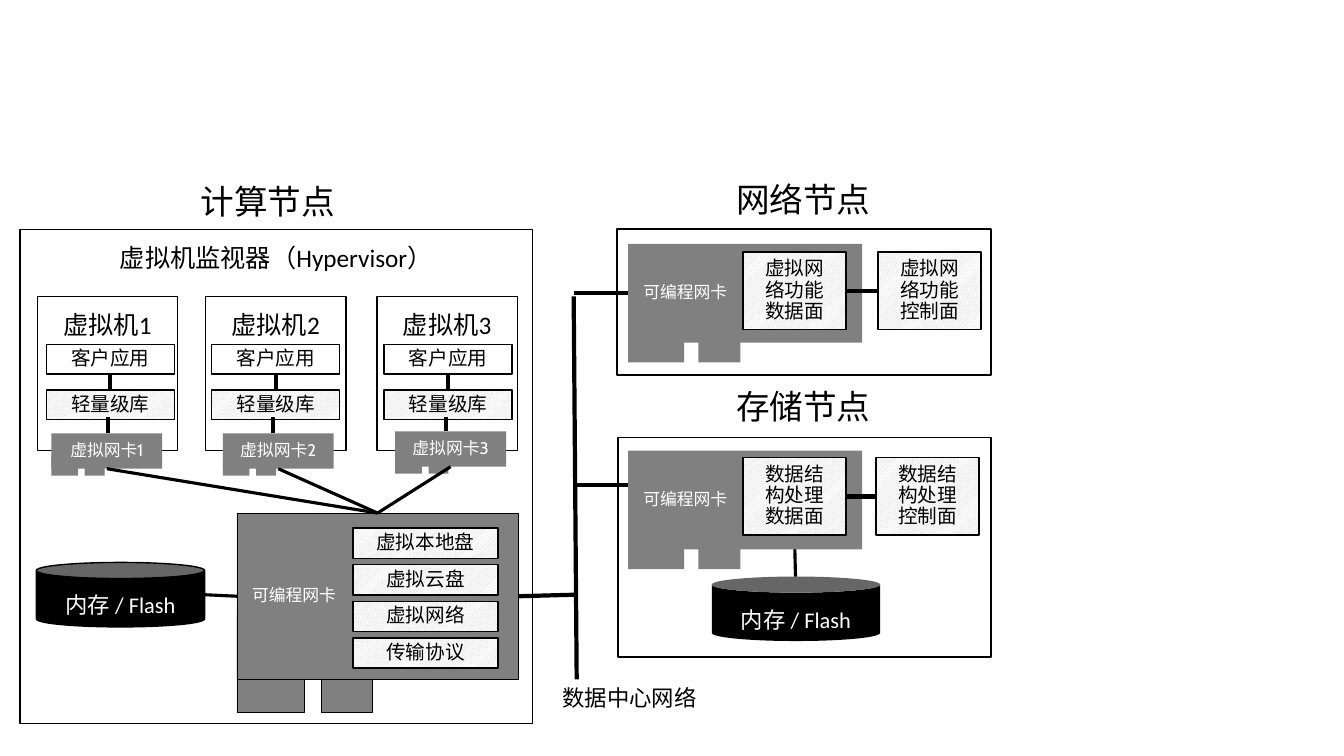
from dataclasses import dataclass
from typing import NamedTuple, Optional

from lxml.etree import SubElement
from pptx import Presentation
from pptx.dml.color import RGBColor
from pptx.enum.dml import MSO_PATTERN_TYPE
from pptx.enum.shapes import MSO_CONNECTOR, MSO_SHAPE
from pptx.enum.text import MSO_ANCHOR, MSO_AUTO_SIZE, PP_ALIGN
from pptx.oxml.ns import qn
from pptx.util import Emu, Inches, Pt

COLORS = {"ink": "000000", "paper": "FFFFFF", "card": "808080", "hatch": "D0CECE"}
CELL = Inches(0.1)  # one column or row of the layout grid
COLUMNS, ROWS = 133.3, 75
TOP, LEFT, BOTTOM, RIGHT = range(4)  # connection sites of a rectangle


class Box(NamedTuple):
    left: float
    top: float
    width: float
    height: float


class Point(NamedTuple):
    column: float
    row: float


class Joint(NamedTuple):
    shape: object
    side: int


@dataclass(frozen=True)
class Label:
    text: str
    size: float = 14
    color: str = "ink"
    font: str = "Calibri"
    align: PP_ALIGN = PP_ALIGN.CENTER
    anchor: MSO_ANCHOR = MSO_ANCHOR.MIDDLE
    inset: float = 2.0


@dataclass(frozen=True)
class VirtualMachine:
    number: int
    left: float
    app_left: float
    card_left: float
    card_top: float


@dataclass(frozen=True)
class RemoteNode:
    name: str
    frame: Box
    title: Point
    card_top: float
    plane: str
    plane_top: float
    control_left: float


def color(name: str) -> RGBColor:
    return RGBColor.from_string(COLORS[name])


def grid(cells: float) -> Emu:
    return Emu(round(cells * CELL))


def write(shape, label: Label) -> None:
    frame = shape.text_frame
    frame.word_wrap = True
    frame.vertical_anchor = label.anchor
    frame.margin_left = frame.margin_right = grid(label.inset)
    frame.margin_top = frame.margin_bottom = grid(label.inset * 0.8)
    paragraph = frame.paragraphs[0]
    paragraph.text = label.text
    paragraph.alignment = label.align
    paragraph.line_spacing = 0.9
    paragraph.font.size = Pt(label.size)
    paragraph.font.name = label.font
    paragraph.font.color.rgb = color(label.color)


def add_block(shapes, box: Box, fill: str = "paper", line: float = 1,
              label: Optional[Label] = None, kind: MSO_SHAPE = MSO_SHAPE.RECTANGLE):
    shape = shapes.add_shape(kind, *map(grid, box))
    shape.shadow.inherit = False
    if fill == "hatch":
        shape.fill.patterned()
        shape.fill.pattern = MSO_PATTERN_TYPE.LIGHT_UPWARD_DIAGONAL
        shape.fill.fore_color.rgb = color("hatch")
        shape.fill.back_color.rgb = color("paper")
    else:
        shape.fill.solid()
        shape.fill.fore_color.rgb = color(fill)
    if line:
        shape.line.color.rgb = color("ink")
        shape.line.width = Pt(line)
    else:
        shape.line.fill.background()
    if label:
        write(shape, label)
    return shape


def add_caption(shapes, box: Box, text: str, size: float) -> None:
    caption = shapes.add_textbox(*map(grid, box))
    write(caption, Label(text, size, align=PP_ALIGN.LEFT, anchor=MSO_ANCHOR.TOP))
    caption.text_frame.word_wrap = False
    caption.text_frame.auto_size = MSO_AUTO_SIZE.SHAPE_TO_FIT_TEXT
    caption.text_frame.paragraphs[0].space_after = Pt(6)


def add_link(shapes, start, end, width: float = 3) -> None:
    first, last = (point if isinstance(point, Point) else Point(0, 0) for point in (start, end))
    link = shapes.add_connector(MSO_CONNECTOR.STRAIGHT, *map(grid, (*first, *last)))
    if isinstance(start, Joint):
        link.begin_connect(*start)
    if isinstance(end, Joint):
        link.end_connect(*end)
    link.line.color.rgb = color("ink")
    link.line.width = Pt(width)
    SubElement(link._element.spPr, qn("a:effectLst"))


def add_card(shapes, box: Box, text: str, line: float = 0, align: PP_ALIGN = PP_ALIGN.LEFT):
    """Draw a network card: two contact teeth below a labelled body."""
    card = shapes.add_group_shape().shapes
    for offset, width in ((0, 0.24), (0.3, 0.18)):
        add_block(card, Box(box.left + offset * box.width, box.top + 0.6 * box.height,
                            width * box.width, 0.6 * box.height), "card", line)
    return add_block(card, box, "card", line, Label(text, 12, "paper", "Cabin", align, inset=1.5))


def add_memory(shapes, left: float, top: float, line: float) -> None:
    add_block(shapes, Box(left, top, 16.7, 6.4), "ink", line,
              Label("内存 / Flash", 16, "paper", anchor=MSO_ANCHOR.TOP), MSO_SHAPE.CAN)


def add_machine(shapes, machine: VirtualMachine):
    add_block(shapes, Box(machine.left, 29.4, 13.9, 15.3),
              label=Label(f"虚拟机{machine.number}", 18, anchor=MSO_ANCHOR.TOP))
    card = add_card(shapes, Box(machine.card_left, machine.card_top, 11, 3.5),
                    f"虚拟网卡{machine.number}", align=PP_ALIGN.CENTER)
    app = add_block(shapes, Box(machine.app_left, 34.2, 12.7, 2.9), label=Label("客户应用"))
    library = add_block(shapes, Box(machine.app_left, 38.7, 12.7, 2.9), "hatch", label=Label("轻量级库"))
    add_link(shapes, Joint(app, BOTTOM), Joint(library, TOP))
    middle = machine.app_left + 6.1
    add_link(shapes, Point(middle, 41.4), Point(middle, machine.card_top))
    return card


def add_remote(shapes, node: RemoteNode):
    card = add_card(shapes, Box(62.3, node.card_top, 23.2, 9.8), "可编程网卡")
    data, control = (
        add_block(shapes, Box(left, node.plane_top, 10.2, 7.7), "hatch", label=Label(node.plane + role))
        for left, role in ((73.7, "数据面"), (node.control_left, "控制面")))
    add_link(shapes, Joint(data, RIGHT), Joint(control, LEFT))
    return card


MACHINES = [
    VirtualMachine(1, 3.7, 4.6, 5.1, 43),
    VirtualMachine(2, 20.4, 21, 22.1, 43),
    VirtualMachine(3, 37.4, 38.1, 39.2, 42.8),
]
NETWORK = RemoteNode("网络节点", Box(61.2, 22.7, 37.1, 14.5), Point(71, 16.6), 24.2, "虚拟网络功能", 25, 87.1)
STORAGE = RemoteNode("存储节点", Box(61.3, 43.4, 37, 21.8), Point(71, 37.1), 44.7, "数据结构处理", 45.4, 86.9)
SERVICES = ["虚拟本地盘", "虚拟云盘", "虚拟网络", "传输协议"]


def main() -> None:
    presentation = Presentation()
    presentation.slide_width, presentation.slide_height = grid(COLUMNS), grid(ROWS)
    shapes = presentation.slides.add_slide(presentation.slide_layouts[6]).shapes

    # Compute node
    add_block(shapes, Box(2, 22.8, 50.8, 49),
              label=Label("虚拟机监视器（Hypervisor）", 18, anchor=MSO_ANCHOR.TOP))
    add_caption(shapes, Box(17.9, 16.8, 17.5, 6.9), "计算节点", 24)
    host_card = add_card(shapes, Box(23.5, 50.9, 27.9, 16.5), "可编程网卡", 0.5)
    for row, service in enumerate(SERVICES):
        add_block(shapes, Box(35, 52.4 + 3.63 * row, 14.4, 3), "hatch", label=Label(service))
    for machine in MACHINES:
        add_link(shapes, Joint(add_machine(shapes, machine), BOTTOM), Joint(host_card, TOP), 2.25)
    add_link(shapes, Point(20.3, 59), Joint(host_card, LEFT), 2.25)
    add_memory(shapes, 3.6, 55.8, 1)

    # Frames of the network and storage nodes
    for node in (NETWORK, STORAGE):
        add_block(shapes, node.frame)
        add_caption(shapes, Box(*node.title, 17.5, 6.9), node.name, 24)
    add_memory(shapes, 70.6, 57.2, 0)
    add_link(shapes, Point(78.8, 53.1), Point(78.9, 57.2), 2.25)

    # Data centre network
    add_link(shapes, Point(56.9, 29.4), Point(57.2, 67.4))
    add_link(shapes, Point(57.2, 48.1), Point(63.6, 48.1))
    add_link(shapes, Joint(host_card, RIGHT), Point(57, 59))
    add_caption(shapes, Box(53.8, 67, 17.5, 5.7), "数据中心网络", 16)

    # Cards and planes of the network and storage nodes
    network_card = add_remote(shapes, NETWORK)
    add_link(shapes, Point(56.9, 29.1), Joint(network_card, LEFT))
    add_remote(shapes, STORAGE)

    presentation.save("out.pptx")


if __name__ == "__main__":
    main()
